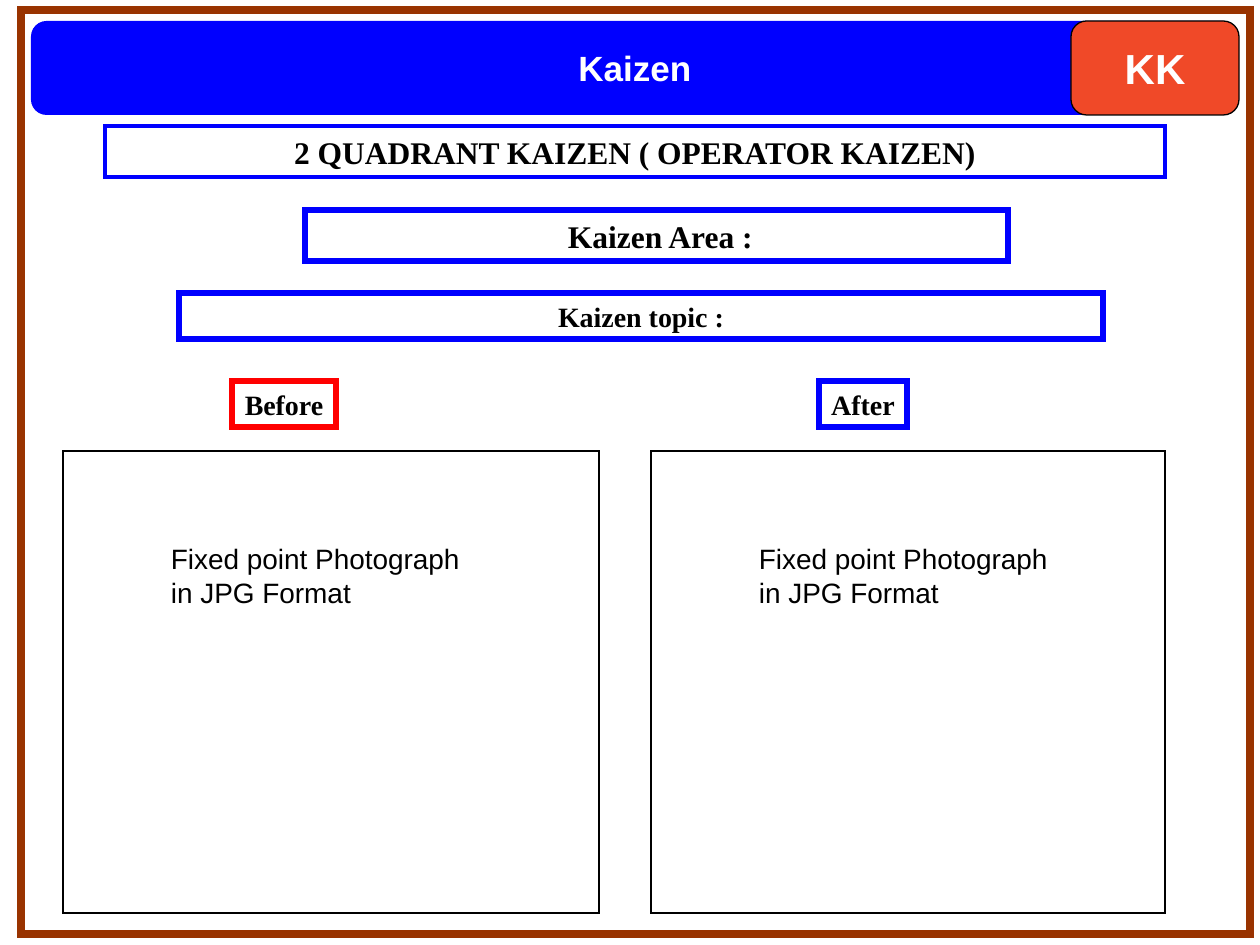
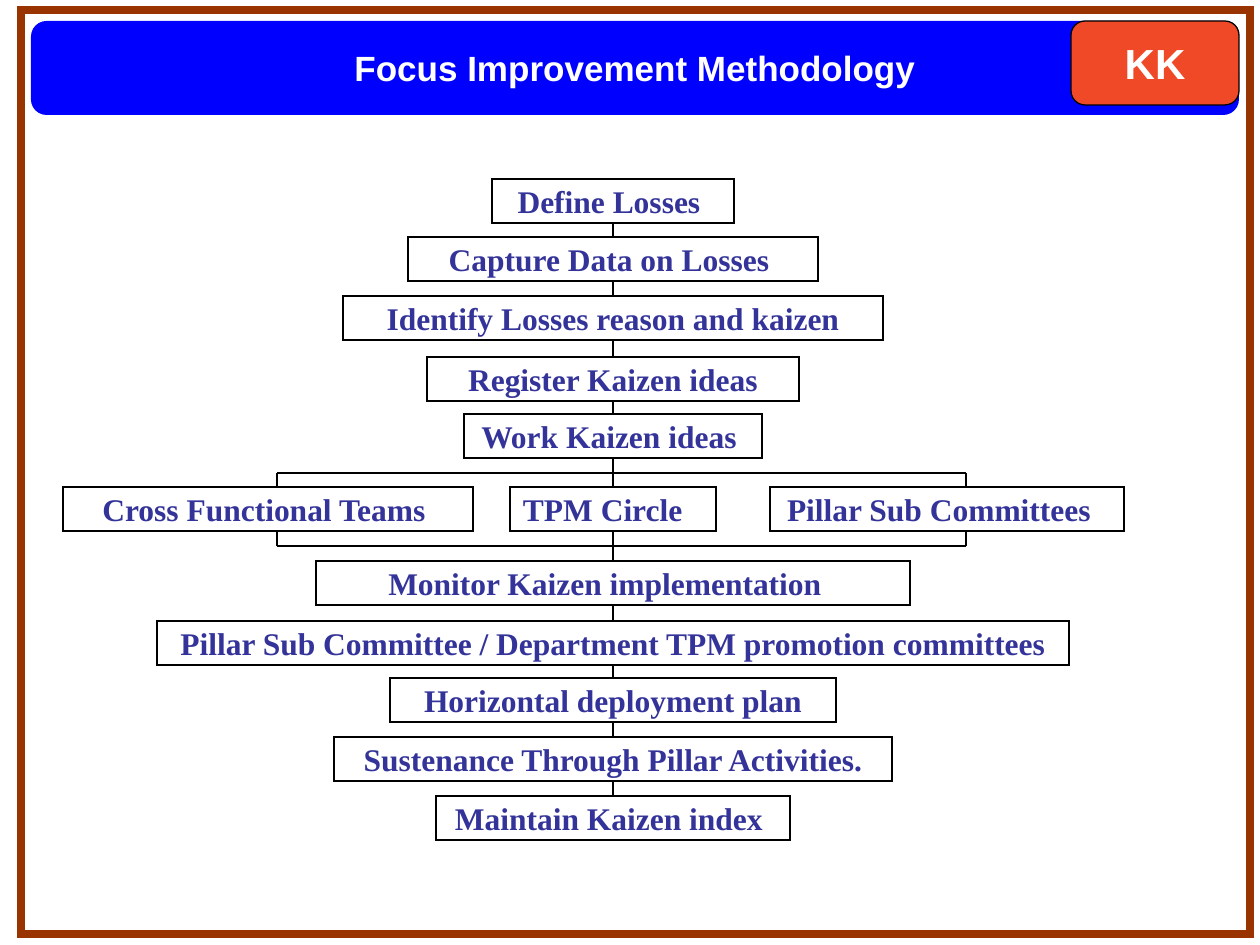
"""Build the two Kaizen slides: the two quadrant form and the improvement flow."""
from dataclasses import dataclass
from itertools import pairwise

from lxml.etree import SubElement
from pptx import Presentation
from pptx.dml.color import RGBColor
from pptx.enum.shapes import MSO_CONNECTOR, MSO_SHAPE
from pptx.enum.text import MSO_ANCHOR, MSO_AUTO_SIZE, PP_ALIGN
from pptx.oxml.ns import qn
from pptx.presentation import Presentation as Deck
from pptx.shapes.autoshape import Shape
from pptx.shapes.connector import Connector
from pptx.slide import Slide
from pptx.text.text import TextFrame
from pptx.util import Emu, Pt

EMU_PER_PX = 914400 / 126
BLUE, RED, ORANGE, BROWN = "0000FF", "FF0000", "F04928", "993300"
BLACK, WHITE, INDIGO = "000000", "FFFFFF", "333399"
SANS, SERIF = "Arial", "Times New Roman"
SPACE = 8
SIDE_MARGIN, LABEL_MARGIN = 13, 4
SPINE_X = 613
STAGE_HEIGHT = 44
TEAM_TOP = 487
BUS_LEFT, BUS_RIGHT = 277, 966
BUS_ABOVE, BUS_BELOW = 473, 546


@dataclass(frozen=True)
class Area:
    left: int
    top: int
    width: int
    height: int


@dataclass(frozen=True)
class Style:
    size: int
    color: str = BLACK
    font: str = SERIF
    bold: bool = True
    align: PP_ALIGN = PP_ALIGN.CENTER
    margin: int = SIDE_MARGIN


@dataclass(frozen=True)
class Label:
    text: str
    area: Area
    size: int
    line: str = BLUE
    line_width: float = 3
    lead: int = 0


@dataclass(frozen=True)
class Stage:
    text: str
    top: int
    width: int
    trail: int = 0
    align: PP_ALIGN = PP_ALIGN.CENTER
    center: int = SPINE_X


PAGE_FRAME = Area(21, 10, 1229, 924)
BAND = Area(31, 21, 1208, 94)
TITLE_STYLE = Style(20, WHITE, SANS)
BADGE_STYLE = Style(24, WHITE, SANS)
NOTE_STYLE = Style(16, font=SANS, bold=False, align=PP_ALIGN.LEFT)

LABELS = (
    Label("2 QUADRANT KAIZEN ( OPERATOR KAIZEN)", Area(105, 126, 1060, 51), 18, line_width=2.25),
    Label("Kaizen Area :", Area(305, 210, 703, 51), 18, lead=SPACE),
    Label("Kaizen topic :", Area(179, 293, 924, 46), 16),
    Label("Before", Area(232, 381, 104, 46), 16, RED),
    Label("After", Area(819, 381, 88, 46), 16),
)
PHOTO_FRAMES = (Area(63, 451, 536, 462), Area(651, 451, 514, 462))

SPINE = (
    Stage("Define Losses", 179, 242, SPACE),
    Stage("Capture Data on Losses", 237, 410, SPACE),
    Stage("Identify Losses reason and kaizen", 296, 540),
    Stage("Register Kaizen ideas", 357, 372),
    Stage("Work Kaizen ideas", 414, 298, SPACE),
    Stage("TPM Circle", TEAM_TOP, 206, align=PP_ALIGN.LEFT),
    Stage("Monitor Kaizen implementation", 561, 594, 2 * SPACE),
    Stage("Pillar Sub Committee / Department TPM promotion committees", 621, 912),
    Stage("Horizontal deployment plan", 678, 446),
    Stage("Sustenance Through Pillar Activities.", 737, 558),
    Stage("Maintain Kaizen index", 796, 354, SPACE),
)
SIDE_TEAMS = (
    Stage("Cross Functional Teams", TEAM_TOP, 410, SPACE, center=268),
    Stage("Pillar Sub Committees", TEAM_TOP, 354, 2 * SPACE, center=947),
)


def px(length: int) -> Emu:
    """Turn pixels into EMU."""
    return Emu(round(length * EMU_PER_PX))


def rgb(color: str) -> RGBColor:
    """Turn a hex string into a colour."""
    return RGBColor.from_string(color)


def bounds(area: Area) -> tuple[Emu, Emu, Emu, Emu]:
    """Give an area as left, top, width and height in EMU."""
    return px(area.left), px(area.top), px(area.width), px(area.height)


def write(frame: TextFrame, lines: tuple[str, ...], style: Style, lead: int = 0, trail: int = 0) -> None:
    """Fill a text frame with styled paragraphs."""
    frame.word_wrap = True
    frame.auto_size = MSO_AUTO_SIZE.NONE
    frame.vertical_anchor = MSO_ANCHOR.MIDDLE
    frame.margin_left, frame.margin_right = px(style.margin + lead), px(style.margin + trail)
    frame.margin_top = frame.margin_bottom = px(6)
    frame.text = "\n".join(lines)
    for paragraph in frame.paragraphs:
        paragraph.alignment = style.align
        font = paragraph.font
        font.name, font.size, font.bold = style.font, Pt(style.size), style.bold
        font.color.rgb = rgb(style.color)


def add_box(
    page: Slide,
    area: Area,
    fill: str | None = None,
    line: str | None = BLACK,
    line_width: float = 0.75,
    kind: MSO_SHAPE = MSO_SHAPE.RECTANGLE,
) -> Shape:
    """Draw a preset shape with sharp outline corners and no shadow."""
    box = page.shapes.add_shape(kind, *bounds(area))
    box.shadow.inherit = False
    if fill:
        box.fill.solid()
        box.fill.fore_color.rgb = rgb(fill)
    else:
        box.fill.background()
    if line:
        box.line.color.rgb = rgb(line)
        box.line.width = Pt(line_width)
        SubElement(box._element.spPr.find(qn("a:ln")), qn("a:miter"), lim="800000")
    else:
        box.line.fill.background()
    return box


def add_line(page: Slide, start: tuple[int, int] = (0, 0), end: tuple[int, int] = (0, 0)) -> Connector:
    """Draw a thin black straight connector."""
    line = page.shapes.add_connector(MSO_CONNECTOR.STRAIGHT, *map(px, start + end))
    line.line.color.rgb = rgb(BLACK)
    line.line.width = Pt(0.75)
    SubElement(line._element.spPr, qn("a:effectLst"))
    return line


def add_page(deck: Deck, title_text: str, badge_height: int) -> Slide:
    """Add a slide with the brown frame, title band and badge."""
    page = deck.slides.add_slide(deck.slide_layouts.get_by_name("Title Only"))
    add_box(page, PAGE_FRAME, line=BROWN, line_width=4.5)
    add_box(page, BAND, BLUE, None, kind=MSO_SHAPE.ROUNDED_RECTANGLE)
    title = page.shapes.title
    title.left, title.top, title.width, title.height = bounds(BAND)
    write(title.text_frame, (title_text,), TITLE_STYLE)
    title._element.getparent().append(title._element)
    badge_area = Area(1071, 21, 168, badge_height)
    badge = add_box(page, badge_area, ORANGE, kind=MSO_SHAPE.ROUNDED_RECTANGLE)
    write(badge.text_frame, ("KK",), BADGE_STYLE)
    return page


def add_stage(page: Slide, stage: Stage) -> Shape:
    """Draw one step of the flow around its centre line."""
    area = Area(stage.center - stage.width // 2, stage.top, stage.width, STAGE_HEIGHT)
    box = add_box(page, area)
    style = Style(18, INDIGO, align=stage.align)
    write(box.text_frame, (stage.text,), style, trail=stage.trail)
    return box


def build_form(deck: Deck) -> None:
    """Build the two quadrant form."""
    page = add_page(deck, "Kaizen", 94)
    for label in LABELS:
        box = add_box(page, label.area, line=label.line, line_width=label.line_width)
        style = Style(label.size, margin=LABEL_MARGIN)
        write(box.text_frame, (label.text,), style, lead=label.lead)
    for area in PHOTO_FRAMES:
        add_box(page, area, WHITE)
        note_area = Area(area.left + 95, area.top + 83, 340, 82)
        note = page.shapes.add_textbox(*bounds(note_area))
        write(note.text_frame, ("Fixed point Photograph", "in JPG Format"), NOTE_STYLE)


def build_flow(deck: Deck) -> None:
    """Build the methodology flow."""
    page = add_page(deck, "Focus Improvement Methodology", 84)
    boxes = [add_stage(page, stage) for stage in SPINE]
    for upper, lower in pairwise(boxes):
        line = add_line(page)
        line.begin_connect(upper, 2)
        line.end_connect(lower, 0)
    for team in SIDE_TEAMS:
        add_stage(page, team)
    for bus_y, team_y in ((BUS_ABOVE, TEAM_TOP), (BUS_BELOW, TEAM_TOP + STAGE_HEIGHT)):
        add_line(page, (BUS_LEFT, bus_y), (BUS_RIGHT, bus_y))
        for branch_x in (BUS_LEFT, BUS_RIGHT):
            add_line(page, (branch_x, bus_y), (branch_x, team_y))


def main() -> None:
    """Build and save the deck."""
    deck = Presentation()
    deck.slide_width, deck.slide_height = px(1260), px(945)
    build_form(deck)
    build_flow(deck)
    deck.save("out.pptx")


if __name__ == "__main__":
    main()
